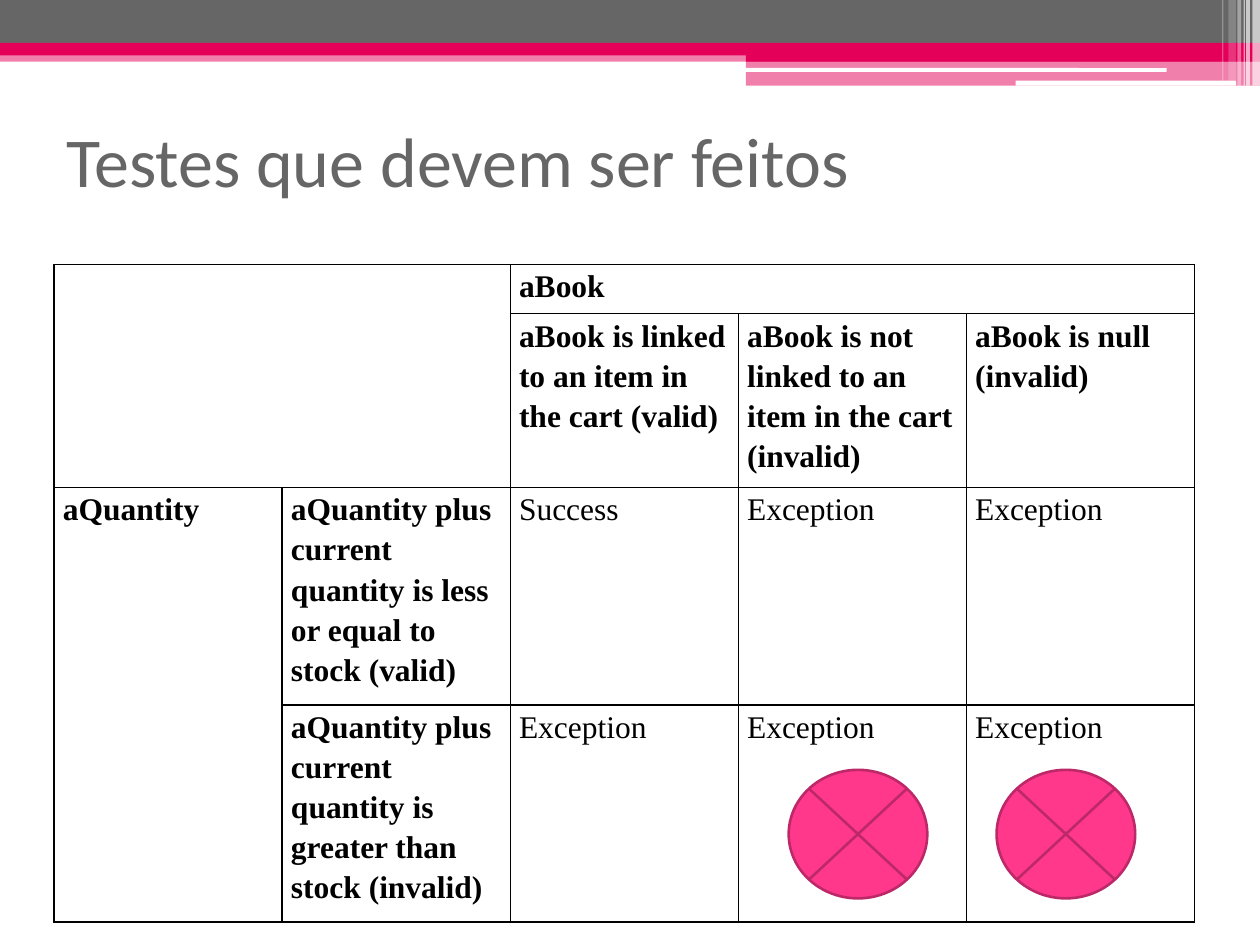
from typing import NamedTuple

from lxml import etree
from pptx import Presentation
from pptx.dml.color import RGBColor
from pptx.enum.shapes import MSO_SHAPE as Shape
from pptx.enum.text import MSO_ANCHOR as Anchor
from pptx.oxml import parse_xml
from pptx.oxml.ns import nsdecls, qn
from pptx.util import Inches, Pt

GREY, PINK, WHITE, BLACK = "666666", "E40059", "FFFFFF", "000000"
MARK_FILL, MARK_LINE = "FF388C", "BD2968"


class Band(NamedTuple):
    left: float
    top: float
    width: float
    height: float
    color: str
    opacity: int = 100
    kind: Shape = Shape.RECTANGLE


class Merge(NamedTuple):
    first: tuple[int, int]
    last: tuple[int, int]


BANDS = [
    Band(0, 0.4, 10, 0.09, PINK, 50),
    Band(0, 0, 10, 0.34, GREY),
    Band(0, 0.34, 10, 0.1, PINK),
    Band(5.92, 0.39, 4.08, 0.1, PINK),
    Band(5.92, 0.48, 4.08, 0.2, PINK, 50),
    Band(5.91, 0.54, 3.35, 0.03, WHITE, kind=Shape.ROUNDED_RECTANGLE),
    Band(8.06, 0.64, 1.75, 0.04, WHITE, kind=Shape.ROUNDED_RECTANGLE),
    Band(9.94, 0, 0.06, 0.68, WHITE, 65),
    Band(9.89, 0, 0.03, 0.68, WHITE, 65),
    Band(9.87, 0, 0.01, 0.68, WHITE, 60),
    Band(9.82, 0, 0.03, 0.68, WHITE, 40),
    Band(9.75, 0, 0.06, 0.64, WHITE, 20),
    Band(9.7, 0, 0.01, 0.64, WHITE, 30),
]

TEST_CASES = [
    ["", "", "aBook", "", ""],
    ["", "", "aBook is linked to an item in the cart (valid)",
     "aBook is not linked to an item in the cart (invalid)",
     "aBook is null (invalid)"],
    ["aQuantity",
     "aQuantity plus current quantity is less or equal to stock (valid)",
     "Success", "Exception", "Exception"],
    ["", "aQuantity plus current quantity is greater than stock (invalid)",
     "Exception", "Exception", "Exception"],
]
ROW_HEIGHTS = [0.39, 1.18, 1.57, 1.57]
COLUMN_WIDTH = 1.81
HEADER_ROWS = HEADER_COLUMNS = 2
MERGES = [Merge((0, 0), (1, 1)), Merge((0, 2), (0, 4)), Merge((2, 0), (3, 0))]


def rgb(color: str) -> RGBColor:
    return RGBColor.from_string(color)


def write(frame, text: str, *, size: float, font: str, color: str,
          bold: bool = False, spacing: float = 1.0) -> None:
    frame.word_wrap = True
    paragraph = frame.paragraphs[0]
    paragraph.line_spacing = spacing
    run = paragraph.add_run()
    run.text = text
    run.font.size, run.font.name, run.font.bold = Pt(size), font, bold
    run.font.color.rgb = rgb(color)


def draw_shape(slide, kind: Shape, left: float, top: float, width: float,
               height: float, fill: str):
    shape = slide.shapes.add_shape(
        kind, Inches(left), Inches(top), Inches(width), Inches(height))
    shape.shadow.inherit = False
    shape.fill.solid()
    shape.fill.fore_color.rgb = rgb(fill)
    return shape


def draw_band(slide, band: Band) -> None:
    shape = draw_shape(slide, band.kind, band.left, band.top, band.width,
                       band.height, band.color)
    shape.line.fill.background()
    if band.opacity < 100:
        color = shape.fill._xPr.find(qn("a:solidFill"))[0]
        etree.SubElement(color, qn("a:alpha"), val=str(band.opacity * 1000))


def draw_mark(slide, left: float) -> None:
    """Cross out one redundant test case."""
    mark = draw_shape(slide, Shape.FLOWCHART_SUMMING_JUNCTION,
                      left, 6.11, 1.1, 1.02, MARK_FILL)
    mark.line.color.rgb = rgb(MARK_LINE)
    mark.line.width = Pt(1.5)


def add_borders(cell, color: str, width: float) -> None:
    properties = cell._tc.get_or_add_tcPr()
    for side in ("lnL", "lnR", "lnT", "lnB"):
        properties.append(parse_xml(
            f'<a:{side} {nsdecls("a")} w="{Pt(width)}"><a:solidFill>'
            f'<a:srgbClr val="{color}"/></a:solidFill></a:{side}>'))


def draw_test_table(slide) -> None:
    columns = len(TEST_CASES[0])
    table = slide.shapes.add_table(
        len(TEST_CASES), columns, Inches(0.43), Inches(2.1),
        Inches(COLUMN_WIDTH * columns), Inches(sum(ROW_HEIGHTS))).table
    table.first_row = table.horz_banding = False
    for column in table.columns:
        column.width = Inches(COLUMN_WIDTH)
    for r, (height, texts) in enumerate(zip(ROW_HEIGHTS, TEST_CASES)):
        table.rows[r].height = Inches(height)
        for c, text in enumerate(texts):
            cell = table.cell(r, c)
            cell.margin_left = cell.margin_right = Inches(0.07)
            cell.margin_top = cell.margin_bottom = 0
            add_borders(cell, BLACK, 1)
            cell.fill.background()
            if text:
                write(cell.text_frame, text, size=18, font="Times New Roman",
                      color=BLACK, spacing=1.15,
                      bold=r < HEADER_ROWS or c < HEADER_COLUMNS)
    for merge in MERGES:
        table.cell(*merge.first).merge(table.cell(*merge.last))


def main() -> None:
    deck = Presentation()
    deck.slide_width, deck.slide_height = Inches(10), Inches(7.5)
    slide = deck.slides.add_slide(deck.slide_layouts[6])
    for band in BANDS:
        draw_band(slide, band)
    title = slide.shapes.add_textbox(
        Inches(0.43), Inches(0.68), Inches(9), Inches(1.17)).text_frame
    title.vertical_anchor = Anchor.MIDDLE
    write(title, "Testes que devem ser feitos", size=40, font="Calibri",
          color=GREY)
    draw_test_table(slide)
    for left in (6.26, 7.91):
        draw_mark(slide, left)
    deck.save("out.pptx")


if __name__ == "__main__":
    main()
